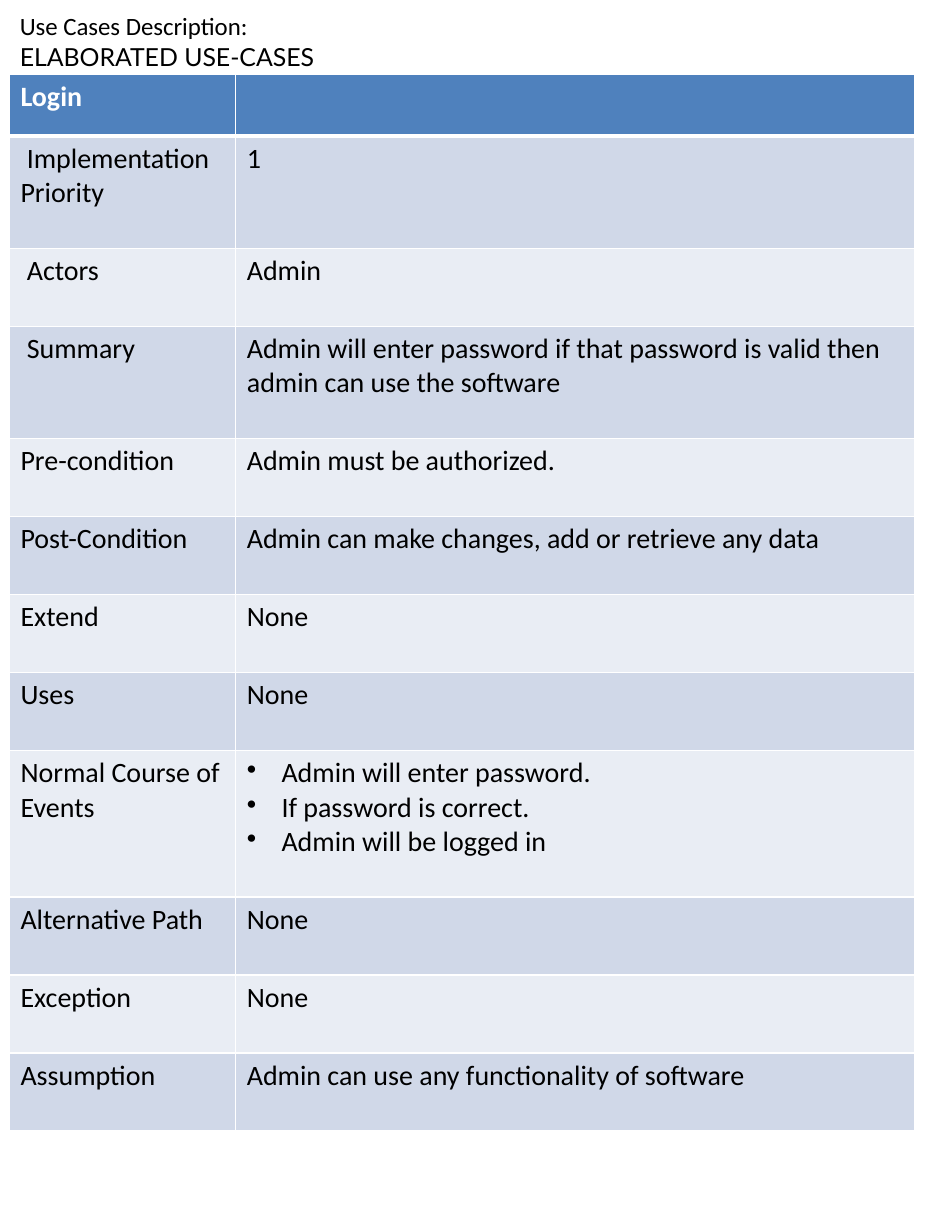
from lxml import etree
from pptx import Presentation
from pptx import util as u
from pptx.dml import color
from pptx.enum import text
from pptx.oxml import ns

HEADS = [("Use Cases Description:", "Calibri"), ("ELABORATED USE-CASES", "Lato")]
STEPS = ["Admin will enter password.", "If password is correct.", "Admin will be logged in"]
CASES = [
    ("Login", [], 0),
    (" Implementation Priority", ["1"], 2),
    (" Actors", ["Admin"], 1),
    (" Summary", ["Admin will enter password if that password is valid then admin can use the software"], 2),
    ("Pre-condition", ["Admin must be authorized."], 1),
    ("Post-Condition", ["Admin can make changes, add or retrieve any data"], 1),
    ("Extend", ["None"], 1),
    ("Uses", ["None"], 1),
    ("Normal Course of Events", STEPS, 3),
    ("Alternative Path", ["None"], 1),
    ("Exception", ["None"], 1),
    ("Assumption", ["Admin can use any functionality of software"], 1),
]


def tint(code):
    return color.RGBColor.from_string(code)


def grid(count):
    return u.Inches(count / 12)


class Sheet:
    ink, pale, head = "000000", "FFFFFF", "4F81BD"
    bands = ["E9EDF4", "D0D8E8"]

    def __init__(self, deck):
        self.slide = deck.slides.add_slide(deck.slide_layouts[6])

    def style(self, para, size, name, code, bold=False):
        font = para.font
        font.size, font.name, font.bold = u.Pt(size), name, bold
        font.color.rgb = tint(code)

    def title(self, box, lines):
        frame = self.slide.shapes.add_textbox(*map(grid, box)).text_frame
        frame.word_wrap = True
        frame.auto_size = text.MSO_AUTO_SIZE.SHAPE_TO_FIT_TEXT
        frame.margin_left = frame.margin_right = frame.margin_bottom = 0
        frame.margin_top = u.Inches(0.01)
        frame.text = "\n".join(line for line, _ in lines)
        for para, (_, name) in zip(frame.paragraphs, lines):
            self.style(para, 16, name, self.ink)
            para.space_before = u.Pt(1)
            para._p.get_or_add_pPr().set("marL", str(u.Inches(0.01)))

    def bullet(self, para):
        props = para._p.get_or_add_pPr()
        props.set("marL", str(u.Inches(0.31)))
        props.set("indent", str(-u.Inches(0.31)))
        mark = etree.Element(ns.qn("a:buChar"), char="•")
        props.insert_element_before(mark, "a:tabLst", "a:defRPr", "a:extLst")

    def edge(self, cell, base):
        props = cell._tc.get_or_add_tcPr()
        for spot, side in enumerate("LRTB"):
            width = base if side == "B" else 1
            line = etree.Element(ns.qn(f"a:ln{side}"), w=str(u.Pt(width)))
            fill = etree.SubElement(line, ns.qn("a:solidFill"))
            etree.SubElement(fill, ns.qn("a:srgbClr"), val=self.pale)
            props.insert(spot, line)

    def cell(self, cell, lines, row):
        top = row == 0
        cell.fill.solid()
        cell.fill.fore_color.rgb = tint(self.head if top else self.bands[row % 2])
        self.edge(cell, 3 if top else 1)
        cell.text = "\n".join(lines)
        for para in cell.text_frame.paragraphs:
            self.style(para, 18, "Calibri", self.pale if top else self.ink, top)
            if len(lines) > 1:
                self.bullet(para)

    def table(self, left, top, widths, cases):
        highs = [4.7 + 3.66 * count if count else 6.6 for _, _, count in cases]
        box = map(grid, (left, top, sum(widths), sum(highs)))
        table = self.slide.shapes.add_table(len(cases), len(widths), *box).table
        for col, width in zip(table.columns, widths):
            col.width = grid(width)
        for row, (name, lines, _) in enumerate(cases):
            table.rows[row].height = grid(highs[row])
            self.cell(table.cell(row, 0), [name], row)
            self.cell(table.cell(row, 1), lines, row)


def main():
    deck = Presentation()
    deck.slide_width, deck.slide_height = u.Inches(8.5), u.Inches(11)
    sheet = Sheet(deck)
    sheet.title((2, 1, 88, 9.25), HEADS)
    sheet.table(1, 8, (24.25, 72.75), CASES)
    deck.save("out.pptx")


if __name__ == "__main__":
    main()
